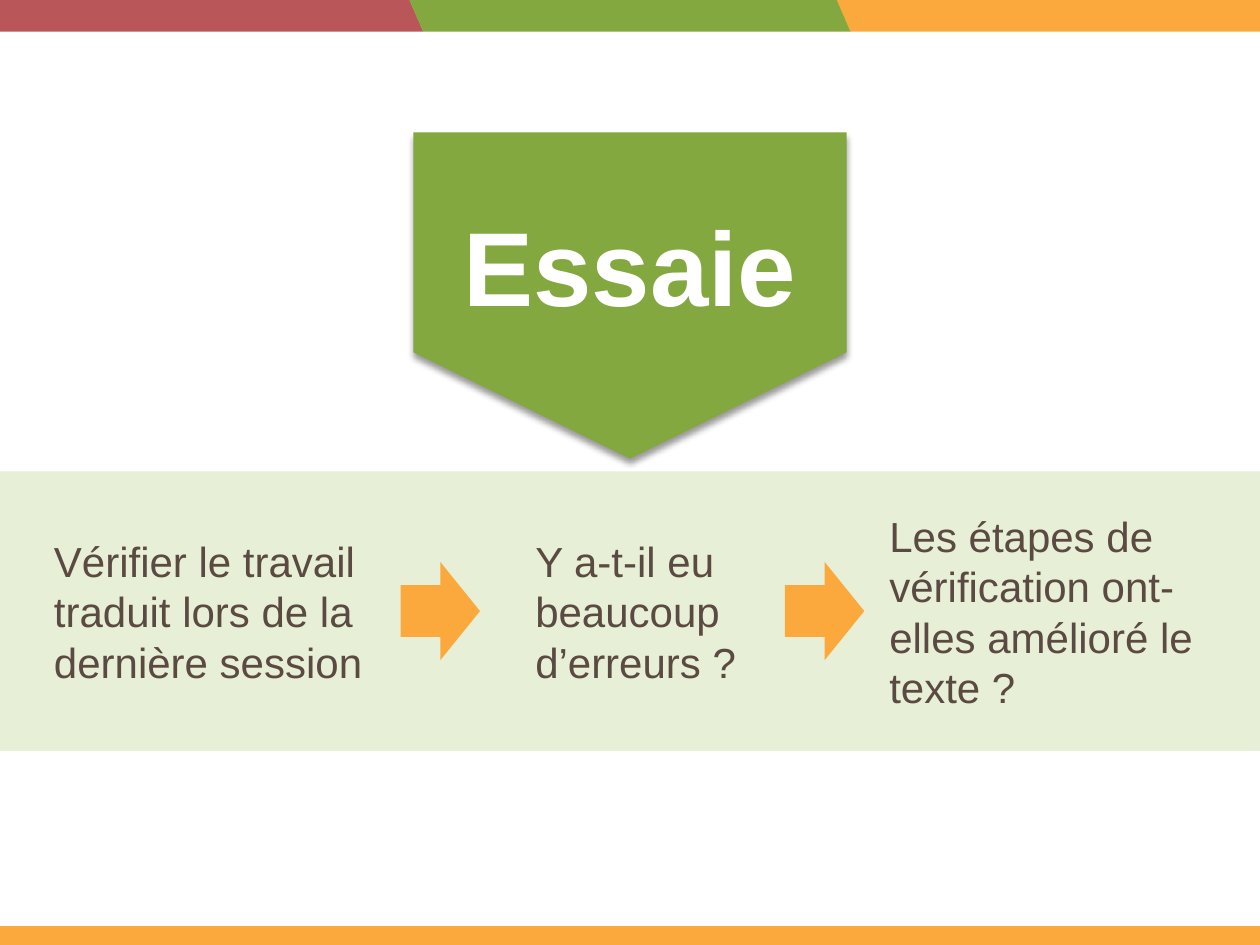
from lxml import etree
from pptx import Presentation
from pptx.dml.color import RGBColor
from pptx.enum.shapes import MSO_SHAPE as Shape
from pptx.enum.text import MSO_ANCHOR as Anchor, PP_ALIGN as Align
from pptx.oxml import parse_xml
from pptx.oxml.ns import nsdecls, qn
from pptx.util import Inches, Pt

COLORS = {
    "red": "B95659",
    "green": "83A83F",
    "orange": "FBA93D",
    "pale": "E7F0D6",
    "brown": "5B4A42",
    "white": "FFFFFF",
}
WIDE, HIGH = 10, 7.5
STEPS = [  # left, width, height, wording
    (0.33, 2.81, 1.31, "Vérifier le travail traduit lors de la dernière session"),
    (4.15, 2.57, 1.31, "Y a-t-il eu beaucoup d’erreurs ?"),
    (6.96, 2.71, 1.72, "Les étapes de vérification ont-elles amélioré le texte ?"),
]
ARROWS = [3.18, 6.23]


def add_form(slide, kind, left, top, width, height, color, adjust=()):
    form = slide.shapes.add_shape(
        kind, Inches(left), Inches(top), Inches(width), Inches(height))
    form.shadow.inherit = False
    form.fill.solid()
    form.fill.fore_color.rgb = RGBColor.from_string(COLORS[color])
    form.line.fill.background()
    for i, value in enumerate(adjust):
        form.adjustments[i] = value
    return form


def add_text(slide, left, top, width, height, words, size, color,
             bold=False, align=Align.LEFT, anchor=Anchor.MIDDLE):
    box = slide.shapes.add_textbox(
        Inches(left), Inches(top), Inches(width), Inches(height))
    frame = box.text_frame
    frame.word_wrap = True
    frame.vertical_anchor = anchor
    frame.text = words
    para = frame.paragraphs[0]
    para.alignment = align
    font = para.runs[0].font
    font.name, font.size, font.bold = "Arial", Pt(size), bold
    font.color.rgb = RGBColor.from_string(COLORS[color])


def add_shadow(form):
    """Give the shape a soft shadow that falls straight down."""
    props = form._element.spPr
    props.remove(props.find(qn("a:effectLst")))
    effect = parse_xml(f"<a:effectLst {nsdecls('a')}/>")
    shade = etree.SubElement(
        effect, qn("a:outerShdw"), blurRad=str(Pt(4)), dist=str(Pt(3)),
        dir="5400000", rotWithShape="0")
    tint = etree.SubElement(shade, qn("a:srgbClr"), val="000000")
    etree.SubElement(tint, qn("a:alpha"), val="40000")
    props.append(effect)


def add_bars(slide, left, top, width, height):
    """Slanted bars along the top; the middle one lies over its neighbours."""
    bar, step = 3.5, 3.39
    start = left + (width - bar) / 2 - step
    for i, color in ((2, "orange"), (0, "red"), (1, "green")):
        form = add_form(slide, Shape.PARALLELOGRAM, start + i * step, top,
                        bar, height, color, [0.436])
        form._element.spPr.find(qn("a:xfrm")).set("flipH", "1")


def add_banner(slide, left, top, width, height):
    """Pentagon pointing down, with the title on it."""
    shift = (width - height) / 2
    form = add_form(slide, Shape.PENTAGON, left + shift, top - shift,
                    height, width, "green", [0.326])
    form.rotation = 90
    add_shadow(form)
    add_text(slide, left, top + 0.5, width, 1.11, "Essaie", 60, "white",
             bold=True, align=Align.CENTER, anchor=Anchor.TOP)


def add_steps(slide, left, top, width, height):
    """Pale band with the steps and the arrows between them."""
    add_form(slide, Shape.RECTANGLE, left, top, width, height, "pale")
    mid = top + height / 2
    for x, wide, high, words in STEPS:
        add_text(slide, left + x, mid - high / 2, wide, high,
                 words, 24, "brown")
    for x in ARROWS:
        add_form(slide, Shape.RIGHT_ARROW, left + x, mid - 0.39,
                 0.63, 0.78, "orange", [0.526, 0.5])


def main():
    deck = Presentation()
    deck.slide_width, deck.slide_height = Inches(WIDE), Inches(HIGH)
    slide = deck.slides.add_slide(deck.slide_layouts[6])
    add_bars(slide, 0, 0, WIDE, 0.25)
    add_form(slide, Shape.RECTANGLE, 0, HIGH - 0.15, WIDE, 0.15, "orange")
    add_steps(slide, 0, 3.74, WIDE, 2.22)
    add_banner(slide, 3.28, 1.05, 3.44, 2.59)
    deck.save("out.pptx")


if __name__ == "__main__":
    main()
